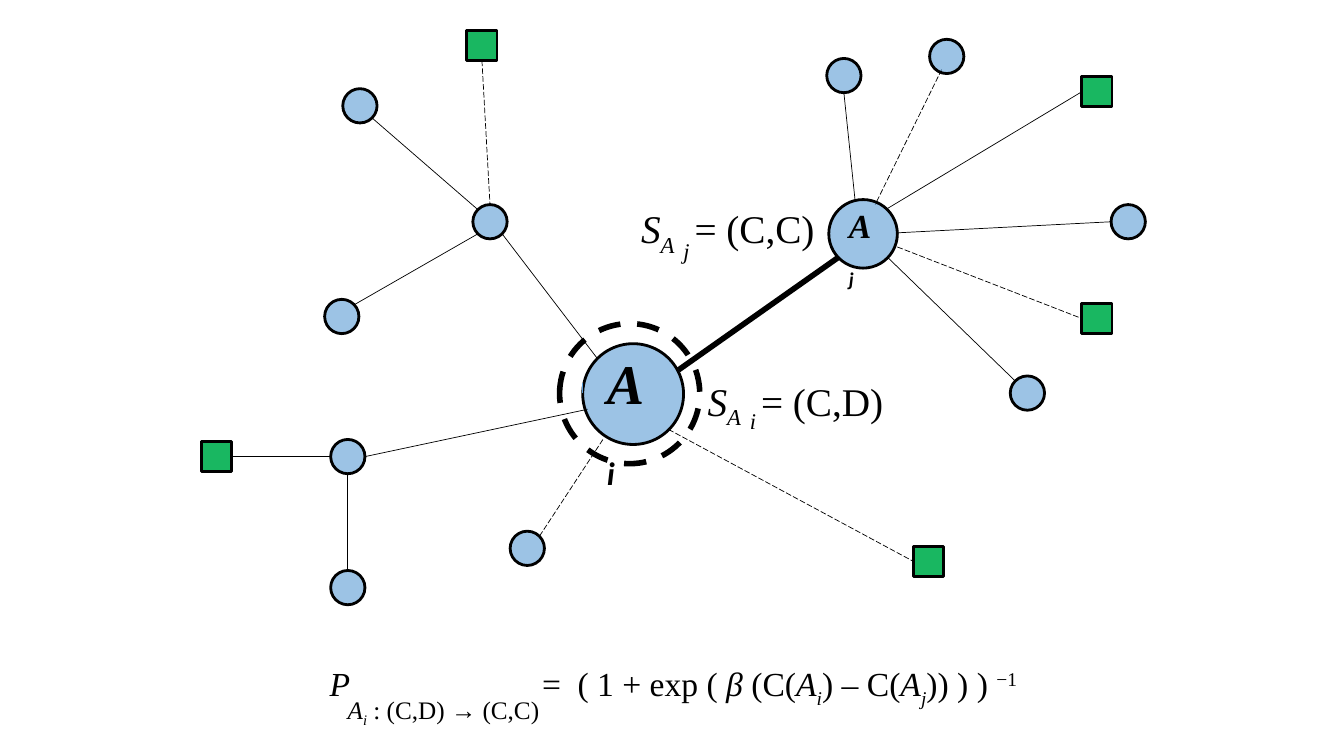
from lxml.etree import SubElement
from pptx import Presentation
from pptx.dml.color import RGBColor
from pptx.enum.dml import MSO_LINE_DASH_STYLE as Dash
from pptx.enum.shapes import MSO_CONNECTOR as Connector, MSO_SHAPE as Preset
from pptx.enum.text import MSO_AUTO_SIZE as AutoSize
from pptx.oxml.ns import qn
from pptx.util import Inches, Pt

COLORS = {"ink": "000000", "agent": "5B9BD5", "resource": "00B050"}
SERIF, SANS = "Times New Roman", "Calibri"


def styled(text, size=24, font=SERIF, bold=False, italic=True, base=0):
    return dict(text=text, size=size, font=font, bold=bold, italic=italic, base=base)


class NetworkSlide:
    def __init__(self, slide, colors):
        self.shapes = slide.shapes
        self.colors = colors

    def color(self, name):
        return RGBColor.from_string(self.colors[name])

    def outline(self, line, width, dash=None, color="ink"):
        line.color.rgb = self.color(color)
        line.width = Pt(width)
        if dash is not None:
            line.dash_style = dash

    def edge(self, start, end, width=0.5, dash=None, color="ink"):
        link = self.shapes.add_connector(
            Connector.STRAIGHT, *(Inches(v) for v in (*start, *end)))
        self.outline(link.line, width, dash, color)
        SubElement(link._element.spPr, qn("a:effectLst"))

    def node(self, preset, left, top, size, fill=None, alpha=100, width=2, dash=None):
        node = self.shapes.add_shape(
            preset, Inches(left), Inches(top), Inches(size), Inches(size))
        node.shadow.inherit = False
        self.outline(node.line, width, dash)
        if fill is None:
            node.fill.background()
            return
        node.fill.solid()
        node.fill.fore_color.rgb = self.color(fill)
        tint = node._element.spPr.find(qn("a:solidFill"))[0]
        SubElement(tint, qn("a:alpha"), val=str(alpha * 1000))

    def agent(self, left, top, size=0.34):
        self.node(Preset.OVAL, left, top, size, "agent", 60)

    def resource(self, left, top):
        self.node(Preset.RECTANGLE, left, top, 0.3, "resource", 90)

    def label(self, left, top, width, height, *pieces, tabs=()):
        frame = self.shapes.add_textbox(
            Inches(left), Inches(top), Inches(width), Inches(height)).text_frame
        frame.word_wrap = True
        frame.auto_size = AutoSize.SHAPE_TO_FIT_TEXT
        paragraph = frame.paragraphs[0]
        if tabs:
            stops = SubElement(paragraph._p.get_or_add_pPr(), qn("a:tabLst"))
            for stop in tabs:
                SubElement(stops, qn("a:tab"), pos=str(Inches(stop)), algn="l")
        for piece in pieces:
            run = paragraph.add_run()
            run.text = piece["text"]
            font = run.font
            font.name, font.size = piece["font"], Pt(piece["size"])
            font.bold, font.italic = piece["bold"], piece["italic"]
            font.color.rgb = self.color("ink")
            if piece["base"]:
                font._element.set("baseline", str(piece["base"] * 1000))


SOLID_EDGES = [
    ((5.92, 3.55), (4.98, 2.32)), ((5.83, 4.06), (3.62, 4.53)),
    ((3.45, 5.66), (3.45, 4.7)), ((2.3, 4.53), (3.28, 4.53)),
    ((3.52, 3.02), (4.74, 2.32)), ((3.69, 1.17), (4.74, 2.08)),
    ((8.37, 0.92), (8.48, 1.98)), ((8.8, 2.07), (10.73, 0.91)),
    ((8.9, 2.31), (11.02, 2.2)), ((10.07, 3.78), (8.8, 2.55)),
]
DASHED_EDGES = [
    ((9.34, 0.69), (8.68, 2.03)), ((4.78, 0.6), (4.86, 2.03)),
    ((8.9, 2.45), (10.73, 3.16)), ((5.98, 4.36), (5.35, 5.32)),
    ((6.63, 4.26), (9.06, 5.57)),
]
AGENTS = [
    (3.22, 2.97), (10.02, 3.73), (3.28, 4.36), (8.2, 0.58), (3.4, 0.88), (4.69, 2.03),
    (11.02, 2.03), (3.28, 5.66), (9.22, 0.39), (5.06, 5.27),
]
RESOURCES = [(4.63, 0.3), (10.73, 0.76), (10.73, 3.01), (2, 4.38), (9.06, 5.42)]
FOCAL_AGENTS = [
    ("i", (5.78, 3.41, 1), (5.92, 3.41, 0.64, 0.77), 40),
    ("j", (8.22, 1.98, 0.68), (8.32, 1.98, 0.32, 0.34), 24),
]
STRATEGIES = [
    ("(C,D)", "i", (6.92, 3.69), (7.34, 3.99)),
    ("(C,C)", "j", (6.26, 1.98), (6.68, 2.3)),
]


def main():
    deck = Presentation()
    deck.slide_width, deck.slide_height = Inches(13.33), Inches(7.5)
    network = NetworkSlide(deck.slides.add_slide(deck.slide_layouts[6]), COLORS)

    for start, end in SOLID_EDGES:
        network.edge(start, end)
    for start, end in DASHED_EDGES:
        network.edge(start, end, dash=Dash.LONG_DASH)
    network.edge((8.32, 2.55), (6.73, 3.67), width=4)

    for place in AGENTS:
        network.agent(*place)
    for place in RESOURCES:
        network.resource(*place)
    for index, circle, box, size in FOCAL_AGENTS:
        network.agent(*circle)
        network.label(*box, styled("A", size, bold=True),
                      styled(index, size, SANS, bold=True, base=-25))
    network.edge((5.78, 3.9), (5.78, 3.8), color="agent")

    for strategy, index, state_at, index_at in STRATEGIES:
        network.label(*state_at, 2.02, 0.57, styled("S", 28), styled("A", 28, base=-25),
                      styled(f"\t= {strategy}", 28, italic=False), tabs=[0.53])
        network.label(*index_at, 0.27, 0.37, styled(index, 16))

    network.label(
        3.17, 6.53, 7.13, 0.5,
        styled("P"), styled("\t=\t( 1 + exp ( ", italic=False), styled("β"),
        styled(" (C(", italic=False), styled("A"), styled("i", base=-25),
        styled(") – C(", italic=False), styled("A"), styled("j", base=-25),
        styled(")) ) ) ", italic=False), styled("−1", italic=False, base=30),
        tabs=[2.11, 2.46])
    network.label(3.35, 6.84, 2.2, 0.4, styled("A", 18), styled("i", 18, base=-25),
                  styled(" : (C,D) → (C,C)", 18, italic=False))
    network.node(Preset.OVAL, 5.55, 3.21, 1.39, width=4, dash=Dash.DASH)

    deck.save("out.pptx")


if __name__ == "__main__":
    main()
